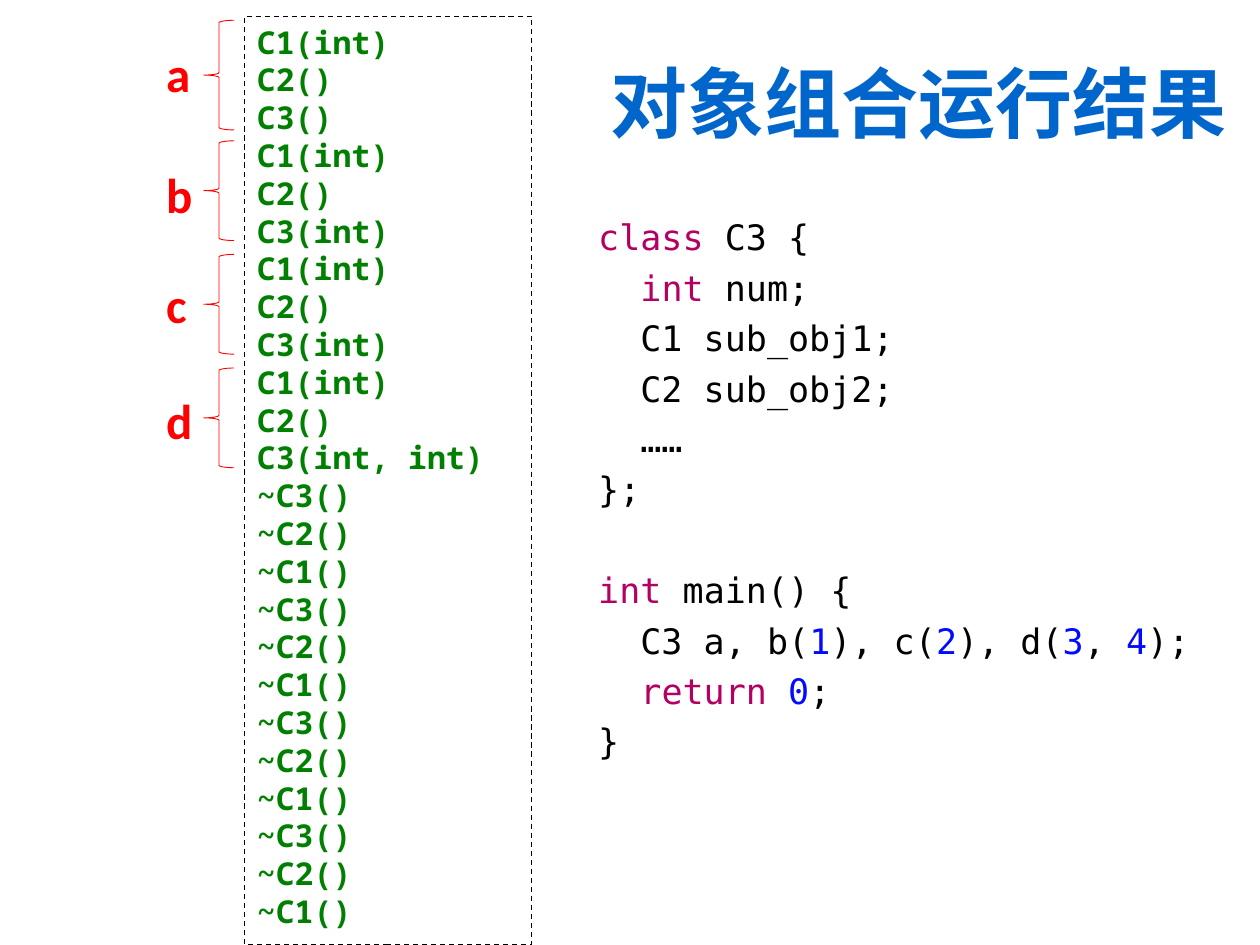
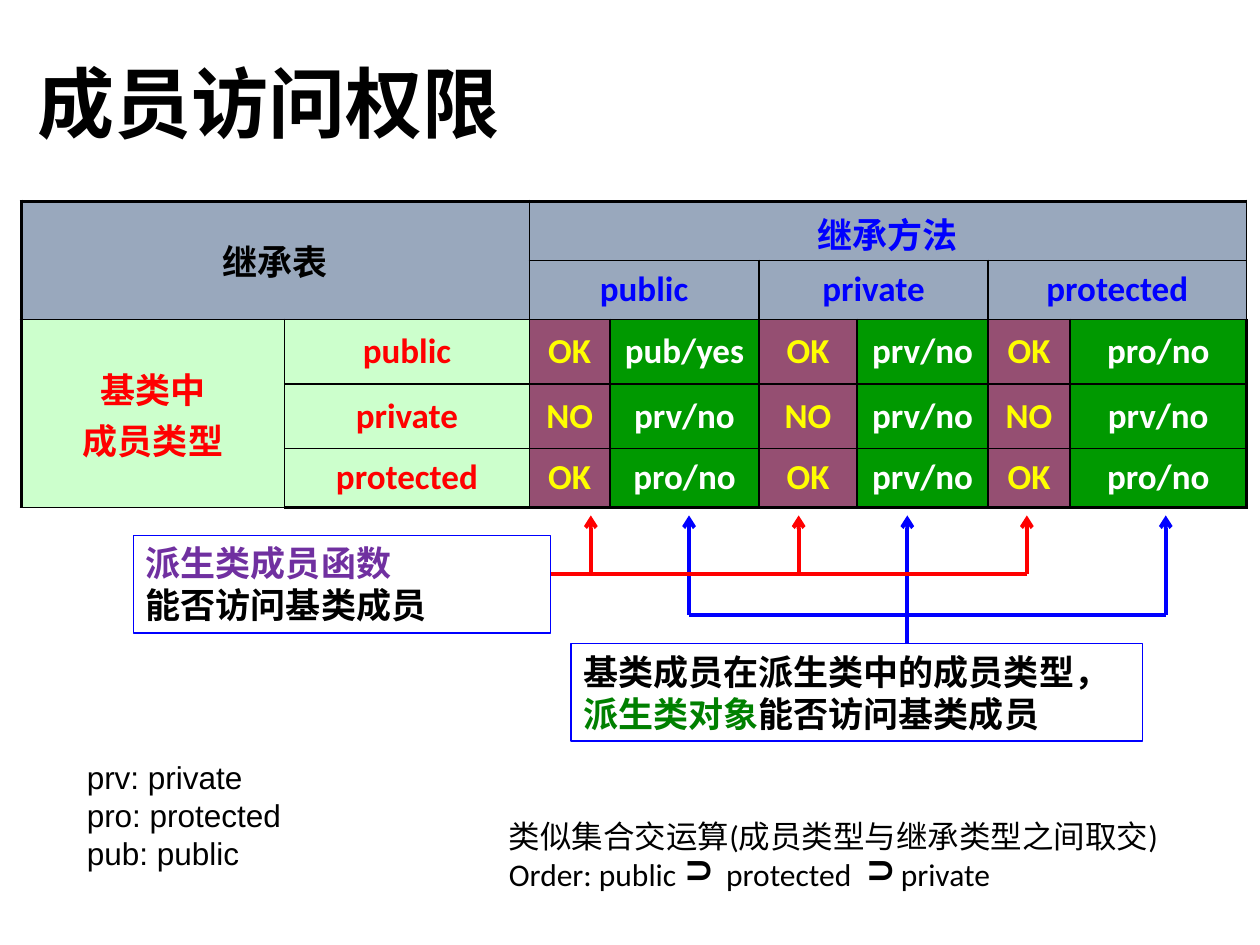
from dataclasses import dataclass
from typing import NamedTuple

from lxml.etree import SubElement
from pptx import Presentation
from pptx.dml.color import RGBColor
from pptx.enum.dml import MSO_LINE
from pptx.enum.shapes import MSO_CONNECTOR, MSO_SHAPE
from pptx.enum.text import MSO_ANCHOR, PP_ALIGN
from pptx.oxml.ns import qn
from pptx.util import Cm, Pt

COLORS = {
    "black": "000000", "white": "FFFFFF", "title": "0066CC", "red": "FF0000",
    "green": "008000", "keyword": "B40062", "number": "000BFF", "blue": "0000FF",
    "purple": "7030A0", "header": "99A8BD", "base": "CCFFCC", "access": "954F72",
    "result": "009900", "yellow": "FFFF00",
}
CJK = "Noto Sans CJK SC"


class Area(NamedTuple):
    """Left, top, width and height in centimetres."""
    left: float
    top: float
    width: float
    height: float

    def lengths(self) -> tuple:
        return tuple(Cm(value) for value in self)


class Span(NamedTuple):
    text: str
    color: str = "black"


@dataclass(frozen=True)
class Style:
    font: str
    size: float
    color: str = "black"
    bold: bool = False
    align: PP_ALIGN = PP_ALIGN.LEFT
    spacing: float | Pt | None = None


@dataclass(frozen=True)
class Brace:
    label: str
    label_top: float
    top: float
    height: float


@dataclass(frozen=True)
class ArrowTree:
    color: str
    tips: tuple
    bus_left: float
    bus: float
    stems: tuple


TITLE = Style(CJK, 44, bold=True, spacing=0.9)
OUTPUT = Style("Noto Sans Mono", 18, "green", True, spacing=Pt(21.6))
BRACE_LABEL = Style("Calibri", 28, "red", True)
CODE = Style("DejaVu Sans Mono", 20, spacing=Pt(28.8))
CALLOUT = Style("Calibri", 20, bold=True, spacing=Pt(24))
NOTE = Style("Arial", 18, spacing=Pt(21.6))
ORDER = Style("Calibri", 18, spacing=Pt(22))
SUBSET = Style("Calibri", 20, bold=True)


def rgb(name: str) -> RGBColor:
    return RGBColor.from_string(COLORS[name])


def write(frame, lines: list, style: Style) -> None:
    """Fill a frame; a line is a string or a list of spans."""
    for index, line in enumerate(lines):
        para = frame.paragraphs[0] if index == 0 else frame.add_paragraph()
        para.alignment = style.align
        if style.spacing:
            para.line_spacing = style.spacing
        font = para.font
        font.name, font.size, font.bold = style.font, Pt(style.size), style.bold
        font.color.rgb = rgb(style.color)
        if style.font == CJK:
            SubElement(para._p.pPr.find(qn("a:defRPr")), qn("a:ea"), typeface=CJK)
        if isinstance(line, str):
            para.add_run().text = line
            continue
        for part in line:
            span = para.add_run()
            span.text = part.text
            span.font.color.rgb = rgb(part.color)


def add_text(page, area: Area, lines: list, style: Style, wrap: bool = True,
             anchor: MSO_ANCHOR = MSO_ANCHOR.TOP):
    box = page.shapes.add_textbox(*area.lengths())
    box.text_frame.word_wrap = wrap
    box.text_frame.vertical_anchor = anchor
    write(box.text_frame, lines, style)
    return box


def add_title(page, left: float, text: str, color: str, align: PP_ALIGN) -> None:
    style = Style(TITLE.font, TITLE.size, color, True, align, TITLE.spacing)
    add_text(page, Area(left, 0.33, 21.89, 3.68), [text], style,
             anchor=MSO_ANCHOR.MIDDLE)


def add_outline(page, kind: MSO_SHAPE, area: Area, color: str, width: float,
                fill: str | None = None):
    shape = page.shapes.add_shape(kind, *area.lengths())
    shape.shadow.inherit = False
    if fill:
        shape.fill.solid()
        shape.fill.fore_color.rgb = rgb(fill)
    else:
        shape.fill.background()
    shape.line.color.rgb = rgb(color)
    shape.line.width = Pt(width)
    shape.text_frame.word_wrap = True
    shape.text_frame.vertical_anchor = MSO_ANCHOR.TOP
    return shape


def add_line(page, start: tuple, end: tuple, color: str, arrow: bool = False) -> None:
    line = page.shapes.add_connector(
        MSO_CONNECTOR.STRAIGHT, *(Cm(value) for value in start + end))
    line.line.color.rgb = rgb(color)
    line.line.width = Pt(2.25)
    if arrow:
        SubElement(line.line._get_or_add_ln(), qn("a:headEnd"), type="arrow")
    SubElement(line._element.spPr, qn("a:effectLst"))


# Slide 1: order of constructor and destructor calls
BRACES = [
    Brace("a", 0.76, 0.41, 2.21),
    Brace("b", 3.2, 2.84, 2.01),
    Brace("c", 5.41, 5.13, 2.01),
    Brace("d", 7.75, 7.42, 2.01),
]
CONSTRUCTED = ["C3()", "C3(int)", "C3(int)", "C3(int, int)"]
CLASS_CODE = [
    [Span("class", "keyword"), Span(" C3 {")],
    [Span("  "), Span("int ", "keyword"), Span("num;")],
    "  C1 sub_obj1;",
    "  C2 sub_obj2;",
    "  ……",
    "};",
]
MAIN_CODE = [
    [Span("int", "keyword"), Span(" main() {")],
    [Span("  C3 a, b("), Span("1", "number"), Span("), c("), Span("2", "number"),
     Span("), d("), Span("3", "number"), Span(", "), Span("4", "number"), Span(");")],
    [Span("  "), Span("return ", "keyword"), Span("0", "number"), Span(";")],
    "}",
]


def build_composition(page) -> None:
    add_title(page, 3.1, "对象组合运行结果", "title", PP_ALIGN.RIGHT)

    # Program output
    calls = [call for last in CONSTRUCTED for call in ("C1(int)", "C2()", last)]
    calls += ["~C3()", "~C2()", "~C1()"] * len(CONSTRUCTED)
    panel = add_outline(page, MSO_SHAPE.RECTANGLE, Area(4.93, 0.33, 5.79, 18.72),
                        "black", 0.75)
    panel.line.dash_style = MSO_LINE.DASH
    write(panel.text_frame, calls, OUTPUT)

    # One brace per object
    for brace in BRACES:
        add_outline(page, MSO_SHAPE.LEFT_BRACE,
                    Area(4.11, brace.top, 0.61, brace.height), "red", 0.5)
        add_text(page, Area(3.1, brace.label_top, 1.02, 1.45), [brace.label],
                 BRACE_LABEL, wrap=False)

    # Source code
    listing = add_text(page, Area(11.81, 4.06, 13.59, 11.68),
                       CLASS_CODE + MAIN_CODE, CODE)
    listing.text_frame.paragraphs[len(CLASS_CODE)].space_before = CODE.spacing


# Slide 2: member access under each kind of inheritance
COLUMNS = [5.31, 4.93, 1.63, 3.0, 1.98, 2.64, 1.65, 3.56]
ROWS = [1.19, 1.19, 1.3, 1.3, 1.19]
KINDS = ["public", "private", "protected"]
ACCESS = [
    ["OK", "pub/yes", "OK", "prv/no", "OK", "pro/no"],
    ["NO", "prv/no", "NO", "prv/no", "NO", "prv/no"],
    ["OK", "pro/no", "OK", "prv/no", "OK", "pro/no"],
]
TREES = [
    ArrowTree("blue", (13.89, 18.29, 23.5), 13.89, 12.4, (12.4, 12.98, 12.4)),
    ArrowTree("red", (11.91, 16.1, 20.7), 11.1, 11.58, (11.58,) * 3),
]


def set_borders(cell, row: int, column: int) -> None:
    outer = {"a:lnL": column == 0, "a:lnR": column == len(COLUMNS) - 1,
             "a:lnT": row == 0, "a:lnB": row == len(ROWS) - 1}
    properties = cell._tc.get_or_add_tcPr()
    for index, (tag, is_outer) in enumerate(outer.items()):
        border = SubElement(properties, qn(tag), w=str(Pt(2.25 if is_outer else 1)))
        fill = SubElement(border, qn("a:solidFill"))
        SubElement(fill, qn("a:srgbClr"), val=COLORS["black"])
        properties.insert(index, border)


def add_access_table(page) -> None:
    area = Area(0.43, 4.06, sum(COLUMNS), sum(ROWS))
    table = page.shapes.add_table(len(ROWS), len(COLUMNS), *area.lengths()).table
    table.first_row = table.horz_banding = False
    for column, width in zip(table.columns, COLUMNS):
        column.width = Cm(width)
    for row, height in zip(table.rows, ROWS):
        row.height = Cm(height)

    # Fills and borders
    for row in range(len(ROWS)):
        for column in range(len(COLUMNS)):
            cell = table.cell(row, column)
            cell.fill.solid()
            body = "base" if column < 2 else ("access", "result")[column % 2]
            cell.fill.fore_color.rgb = rgb("header" if row < 2 else body)
            set_borders(cell, row, column)

    # Merged cells: first and last corner
    merges = [((0, 0), (1, 1)), ((0, 2), (0, 7)), ((2, 0), (4, 0))]
    merges += [((1, column), (1, column + 1)) for column in (2, 4, 6)]
    for first, last in merges:
        table.cell(*first).merge(table.cell(*last))

    # Wording
    entries = {(0, 0): (["继承表"], "black"), (0, 2): (["继承方法"], "blue"),
               (2, 0): (["基类中", "成员类型"], "red")}
    for index, kind in enumerate(KINDS):
        entries[1, 2 + 2 * index] = ([kind], "blue")
        entries[2 + index, 1] = ([kind], "red")
        for column, value in enumerate(ACCESS[index]):
            entries[2 + index, 2 + column] = ([value], ("yellow", "white")[column % 2])
    for place, (lines, color) in entries.items():
        cell = table.cell(*place)
        cell.vertical_anchor = MSO_ANCHOR.MIDDLE
        write(cell.text_frame, lines, Style("Calibri", 20, color, True, PP_ALIGN.CENTER))


def build_access(page) -> None:
    add_title(page, 0.51, "成员访问权限", "black", PP_ALIGN.LEFT)
    add_access_table(page)

    # Arrows from the callouts to the table columns
    for tree in TREES:
        for tip, stem in zip(tree.tips, tree.stems):
            add_line(page, (tip, 10.39), (tip, stem), tree.color, arrow=True)
        add_line(page, (tree.bus_left, tree.bus), (tree.tips[-1], tree.bus), tree.color)

    # Callouts
    callouts = [
        (Area(2.69, 10.8, 8.41, 1.96),
         [[Span("派生类成员函数", "purple")], "能否访问基类成员"]),
        (Area(11.51, 12.98, 11.53, 1.96),
         ["基类成员在派生类中的成员类型，",
          [Span("派生类对象", "green"), Span("能否访问基类成员")]]),
    ]
    for area, lines in callouts:
        shape = add_outline(page, MSO_SHAPE.RECTANGLE, area, "blue", 0.75, "white")
        write(shape.text_frame, lines, CALLOUT)

    # Abbreviations
    add_text(page, Area(1.5, 15.16, 6.4, 2.57),
             ["prv: private", "pro: protected", "pub: public"], NOTE)

    # Order of access, with tab stops leaving room for the superset signs
    box = add_text(page, Area(10.01, 16.33, 14.1, 1.8),
                   ["类似集合交运算(成员类型与继承类型之间取交)",
                    "Order: public\tprotected\tprivate"], ORDER)
    properties = box.text_frame.paragraphs[1]._p.get_or_add_pPr()
    tabs = SubElement(properties, qn("a:tabLst"))
    for position in (4.38, 7.9):
        SubElement(tabs, qn("a:tab"), pos=str(Cm(position)), algn="l")
    properties.find(qn("a:defRPr")).addprevious(tabs)
    for left in (13.49, 17.15):
        sign = add_text(page, Area(left, 17.32, 1.37, 0.71), ["U"], SUBSET, wrap=False)
        sign.rotation = 180
        sign.text_frame._txBody.bodyPr.set("vert", "eaVert")


def main() -> None:
    deck = Presentation()
    deck.slide_width, deck.slide_height = Cm(25.4), Cm(19.05)
    for build in (build_composition, build_access):
        build(deck.slides.add_slide(deck.slide_layouts[6]))
    deck.save("out.pptx")


if __name__ == "__main__":
    main()
